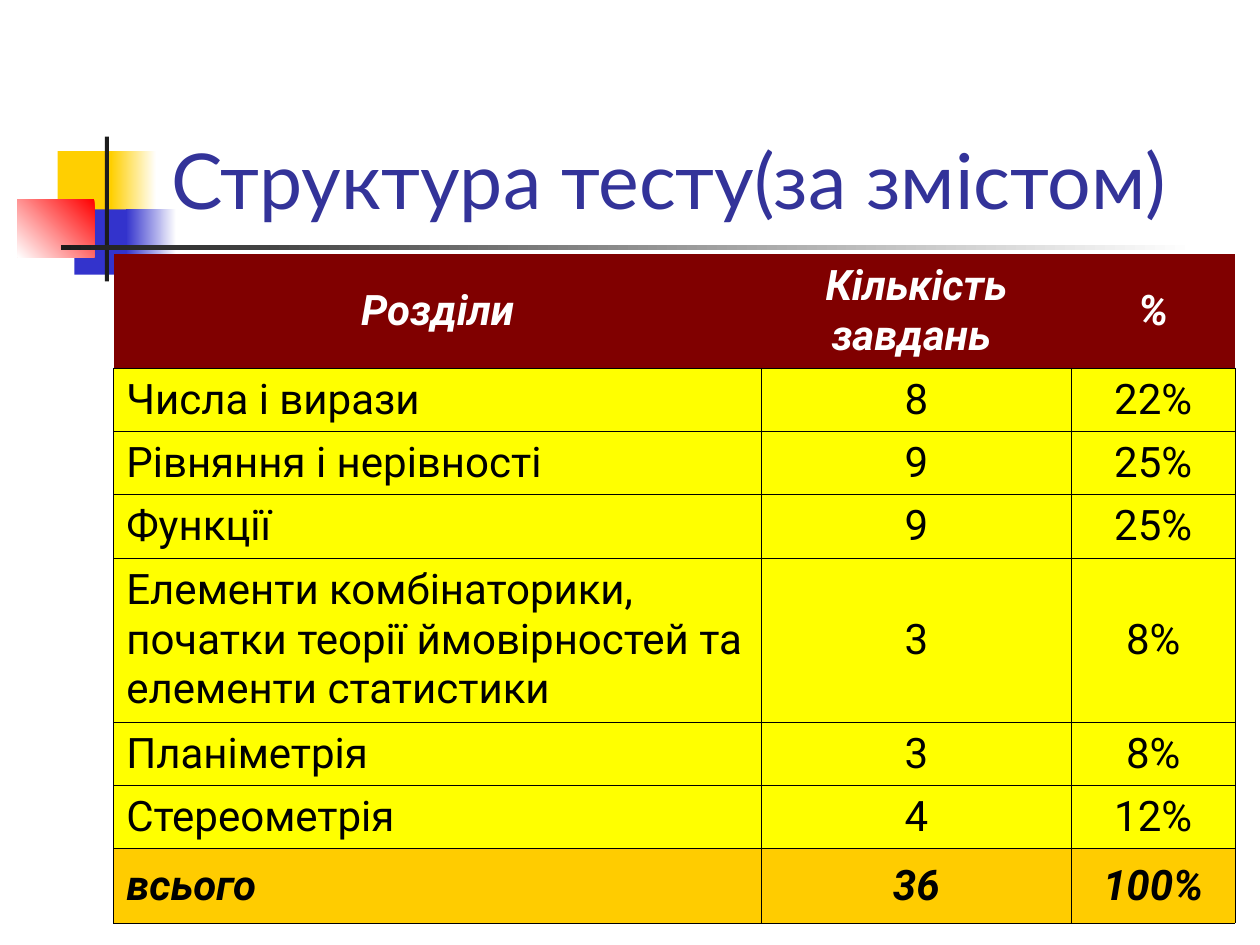
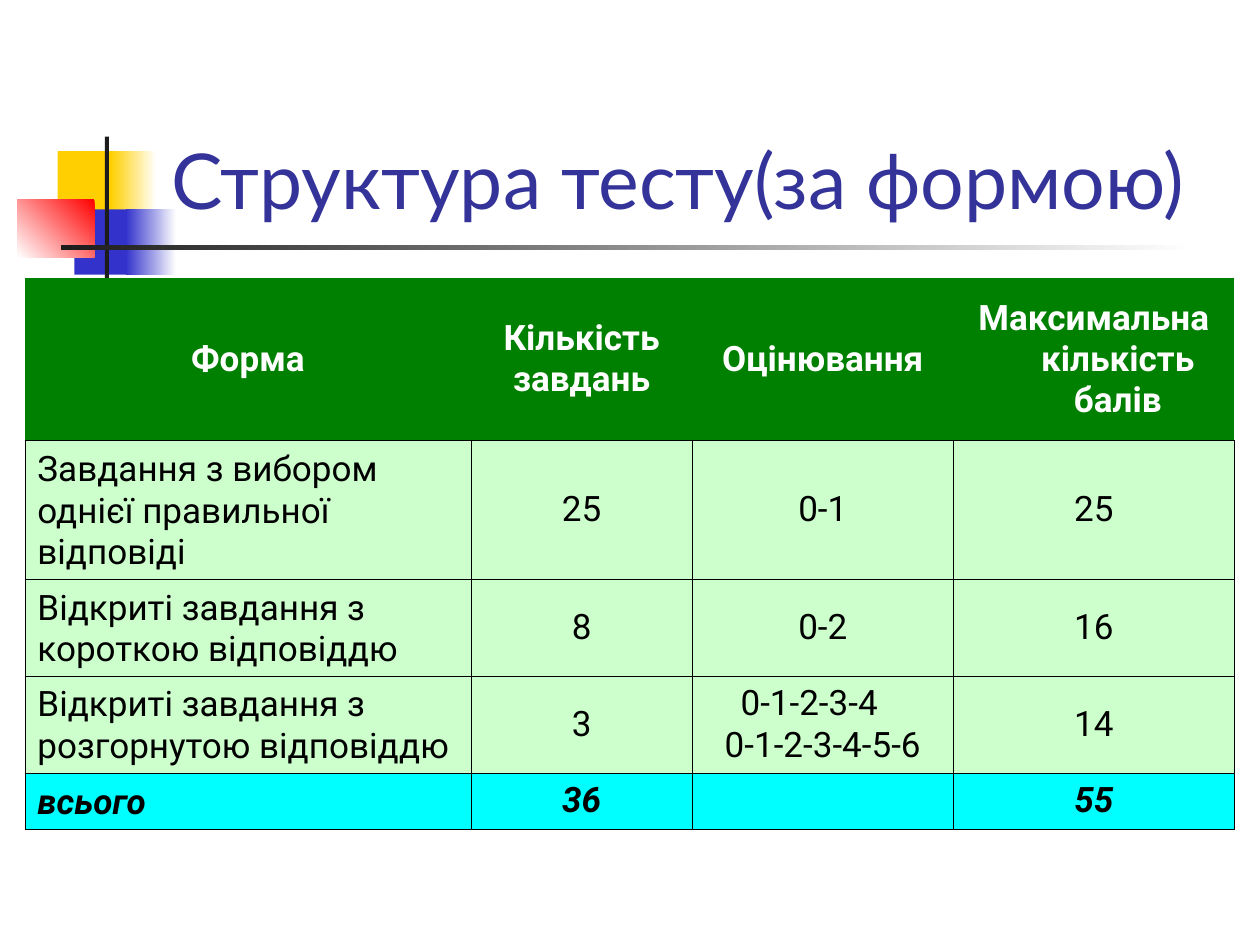
import dataclasses
import typing

import lxml.etree
import pptx
import pptx.dml.color
import pptx.enum.shapes
import pptx.enum.text
import pptx.oxml.ns
import pptx.util

Pt = pptx.util.Pt
ANCHOR = pptx.enum.text.MSO_ANCHOR
ALIGN = pptx.enum.text.PP_ALIGN


@dataclasses.dataclass(frozen=True)
class Theme:
    title_font: str = "Lato"
    table_font: str = "Roboto"
    title_size: float = 44
    title_color: str = "333399"
    gold: str = "FFCF01"
    blue: str = "3333CC"
    red: str = "FF0000"
    dark: str = "1C1C1C"
    white: str = "FFFFFF"
    black: str = "000000"
    border_width: float = 0.45


THEME = Theme()


@dataclasses.dataclass(frozen=True)
class Block:
    left: float
    top: float
    width: float
    height: float
    color: str
    fade: str = ""
    angle: float = 180


@dataclasses.dataclass(frozen=True)
class RowStyle:
    fill: str
    color: str = THEME.black
    bold: bool = False
    italic: bool = False
    bordered: bool = True


@dataclasses.dataclass(frozen=True)
class TableSlide:
    title: str
    left: float
    top: float
    widths: tuple[float, ...]
    heights: tuple[float, ...]
    rows: tuple[tuple[str, ...], ...]
    header: RowStyle
    body: RowStyle
    total: RowStyle
    size: float
    label_anchor: typing.Any = ANCHOR.MIDDLE
    hanging: float = 0
    offset_cell: tuple[int, int] | None = None
    offset: float = 0


BLOCKS = (
    Block(33, 86.4, 34.5, 37.4, THEME.gold),
    Block(63.4, 86.4, 25.9, 37.4, THEME.white, THEME.gold),
    Block(42.5, 119.6, 33.1, 37.4, THEME.blue),
    Block(72, 119.6, 28.8, 37.4, THEME.white, THEME.blue),
    Block(10, 113.8, 44, 33.1, THEME.red, THEME.white, 135),
    Block(59.9, 78, 2.4, 82.8, THEME.dark),
    Block(34.7, 140.2, 648, 2.4, THEME.white, THEME.dark),
)

CONTENT = TableSlide(
    title="Структура тесту(за змістом)",
    left=65, top=145.2,
    widths=(370.1, 177.1, 93.6),
    heights=(65.1, 36.2, 36.2, 36.2, 93.7, 36.2, 36.2, 42.5),
    rows=(
        ("Розділи", "Кількість завдань ", "%"),
        ("Числа і вирази", "8", "22%"),
        ("Рівняння і нерівності", "9", "25%"),
        ("Функції", "9", "25%"),
        ("Елементи комбінаторики, початки теорії ймовірностей та елементи статистики", "3", "8%"),
        ("Планіметрія", "3", "8%"),
        ("Стереометрія", "4", "12%"),
        ("всього", "36", "100%"),
    ),
    header=RowStyle("800000", THEME.white, bold=True, italic=True, bordered=False),
    body=RowStyle("FFFF00"),
    total=RowStyle("FFCC00", bold=True, italic=True),
    size=24,
)

FORM = TableSlide(
    title="Структура тесту(за формою)",
    left=14.2, top=159,
    widths=(255, 126.4, 149.2, 160.6),
    heights=(92.6, 79.4, 55.4, 55.4, 32),
    rows=(
        ("Форма", "Кількість\nзавдань", "Оцінювання", "Максимальна кількість балів"),
        ("Завдання з вибором\nоднієї правильної\nвідповіді", "25", "0-1", "25"),
        ("Відкриті завдання з\nкороткою відповіддю", "8", "0-2", "16"),
        ("Відкриті завдання з\nрозгорнутою відповіддю", "3", "0-1-2-3-4\n0-1-2-3-4-5-6", "14"),
        ("всього", "36", "", "55"),
    ),
    header=RowStyle("008000", THEME.white, bold=True, bordered=False),
    body=RowStyle("CCFFCC"),
    total=RowStyle("00FFFF", bold=True, italic=True),
    size=20,
    label_anchor=ANCHOR.BOTTOM,
    hanging=27.4,
    offset_cell=(3, 2),
    offset=20.4,
)


def rgb(value: str) -> pptx.dml.color.RGBColor:
    return pptx.dml.color.RGBColor.from_string(value)


def draw_block(page: typing.Any, block: Block) -> None:
    shape = page.shapes.add_shape(
        pptx.enum.shapes.MSO_SHAPE.RECTANGLE,
        Pt(block.left), Pt(block.top), Pt(block.width), Pt(block.height),
    )
    shape.shadow.inherit = False
    shape.line.fill.background()
    if not block.fade:
        shape.fill.solid()
        shape.fill.fore_color.rgb = rgb(block.color)
        return
    shape.fill.gradient()
    shape.fill.gradient_angle = 360 - block.angle
    for stop, color in zip(shape.fill.gradient_stops, (block.color, block.fade)):
        stop.color.rgb = rgb(color)


def draw_title(page: typing.Any, title: str) -> None:
    box = page.shapes.add_textbox(Pt(90.7), Pt(16.6), Pt(613.4), Pt(115.2))
    frame = box.text_frame
    frame.word_wrap = True
    frame.vertical_anchor = ANCHOR.BOTTOM
    frame.text = title
    font = frame.paragraphs[0].runs[0].font
    font.name = THEME.title_font
    font.size = Pt(THEME.title_size)
    font.color.rgb = rgb(THEME.title_color)


def set_borders(cell: typing.Any, bordered: bool) -> None:
    qn = pptx.oxml.ns.qn
    properties = cell._tc.get_or_add_tcPr()
    for index, side in enumerate(("lnL", "lnR", "lnT", "lnB")):
        line = lxml.etree.Element(qn(f"a:{side}"), w=str(Pt(THEME.border_width)))
        if bordered or side == "lnB":
            fill = lxml.etree.SubElement(line, qn("a:solidFill"))
            lxml.etree.SubElement(fill, qn("a:srgbClr"), val=THEME.black)
        else:
            lxml.etree.SubElement(line, qn("a:noFill"))
        properties.insert(index, line)


def set_indent(para: typing.Any, margin: float, first_line: float) -> None:
    properties = para._p.get_or_add_pPr()
    properties.set("marL", str(Pt(margin)))
    properties.set("indent", str(Pt(first_line)))


def fill_cell(cell: typing.Any, text: str, style: RowStyle, centred: bool, data: TableSlide) -> None:
    cell.fill.solid()
    cell.fill.fore_color.rgb = rgb(style.fill)
    set_borders(cell, style.bordered)
    cell.vertical_anchor = ANCHOR.MIDDLE if centred else data.label_anchor
    if not text:
        return
    cell.text_frame.text = text
    for para in cell.text_frame.paragraphs:
        para.alignment = ALIGN.CENTER if centred else ALIGN.LEFT
        set_indent(para, data.hanging, -data.hanging)
        for span in para.runs:
            span.font.name = THEME.table_font
            span.font.size = Pt(data.size)
            span.font.bold = style.bold
            span.font.italic = style.italic
            span.font.color.rgb = rgb(style.color)


def draw_table(page: typing.Any, data: TableSlide) -> None:
    table = page.shapes.add_table(
        len(data.rows), len(data.widths), Pt(data.left), Pt(data.top),
        Pt(sum(data.widths)), Pt(sum(data.heights)),
    ).table
    table.first_row = False
    table.horz_banding = False
    for column, width in zip(table.columns, data.widths):
        column.width = Pt(width)
    for row, height in zip(table.rows, data.heights):
        row.height = Pt(height)
    styles = (data.header, *[data.body] * (len(data.rows) - 2), data.total)
    for row_index, (texts, style) in enumerate(zip(data.rows, styles)):
        for column_index, text in enumerate(texts):
            centred = row_index == 0 or column_index > 0
            fill_cell(table.cell(row_index, column_index), text, style, centred, data)
    if data.offset_cell:
        para = table.cell(*data.offset_cell).text_frame.paragraphs[0]
        para.alignment = ALIGN.LEFT
        set_indent(para, data.offset, 0)


def main() -> None:
    deck = pptx.Presentation()
    deck.slide_width = Pt(720)
    deck.slide_height = Pt(540)
    for data in (CONTENT, FORM):
        page = deck.slides.add_slide(deck.slide_layouts[6])
        for block in BLOCKS:
            draw_block(page, block)
        draw_title(page, data.title)
        draw_table(page, data)
    deck.save("out.pptx")


if __name__ == "__main__":
    main()
